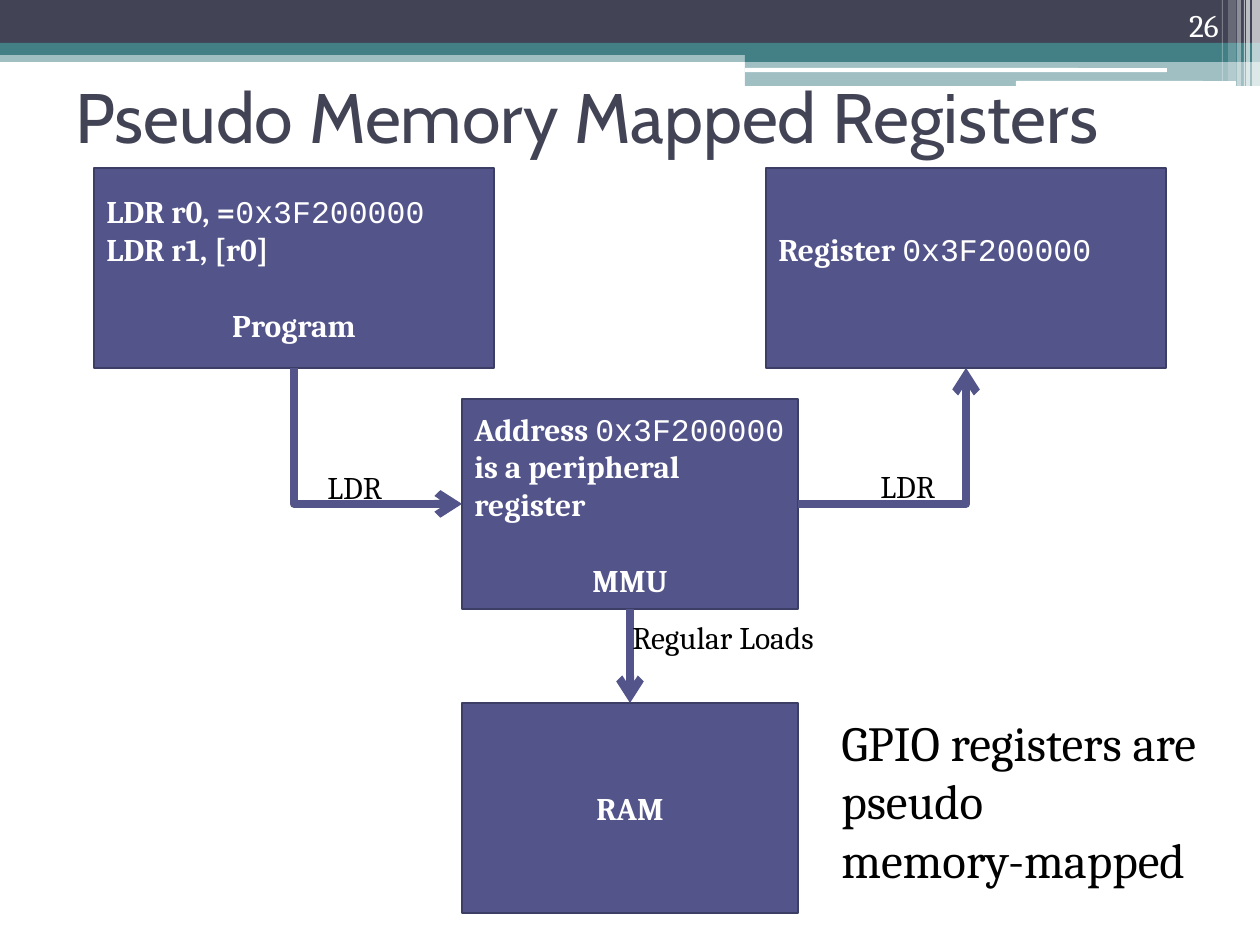
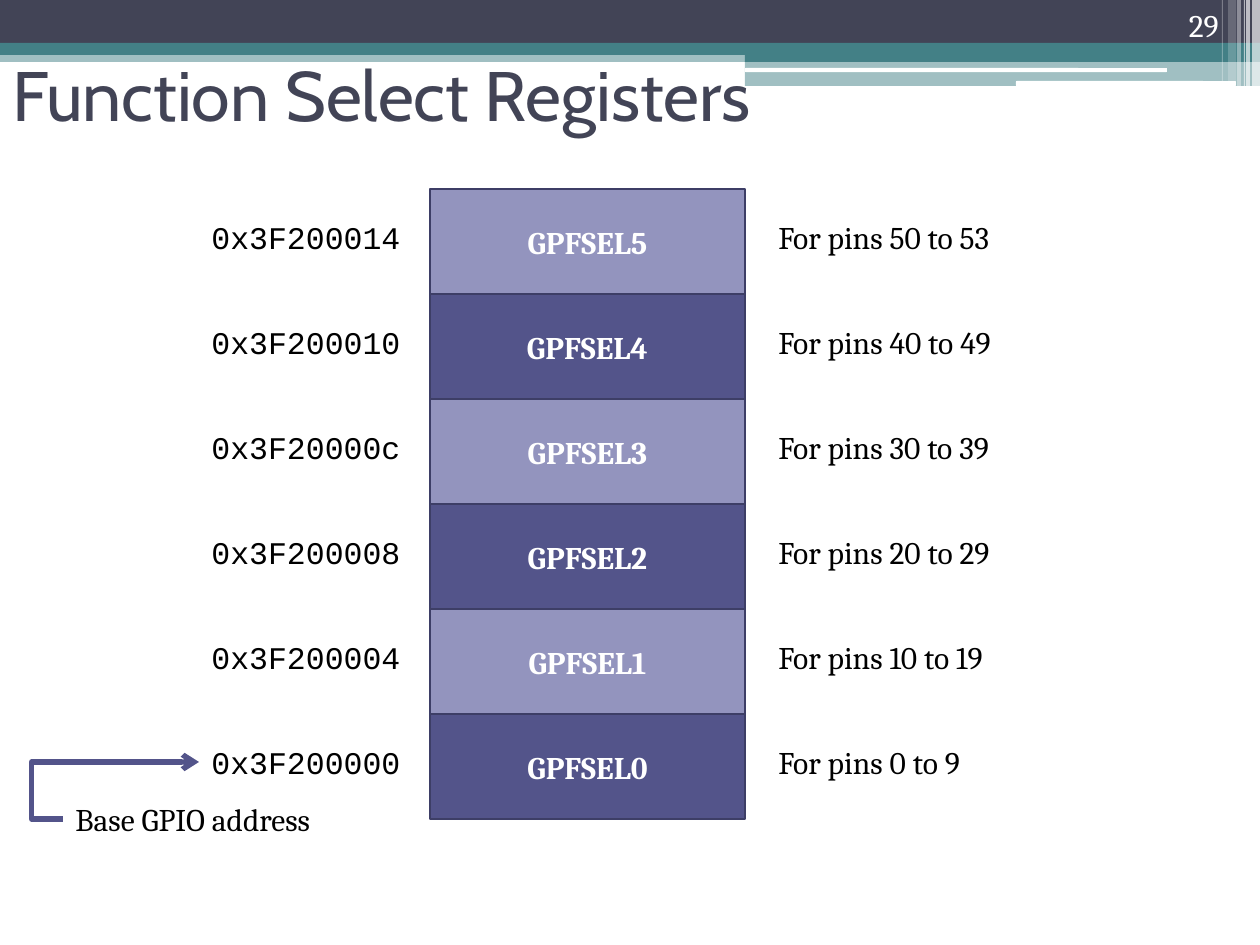
from lxml import etree
from pptx import Presentation
from pptx import util as u
from pptx.dml.color import RGBColor
from pptx.enum import shapes, text
from pptx.oxml.ns import qn

PX = u.Inches(1) / 126
COLORS = {
    "ink": "424456", "teal": "438086", "white": "FFFFFF", "black": "000000",
    "indigo": "53548A", "lavender": "9394BE", "outline": "3D3E66",
}
BODY, CODE, HEADING = "Cambria", "Courier New", "Cabin"
RECT = shapes.MSO_SHAPE.RECTANGLE
ROUNDED = shapes.MSO_SHAPE.ROUNDED_RECTANGLE
LEFT, CENTER, RIGHT = text.PP_ALIGN.LEFT, text.PP_ALIGN.CENTER, text.PP_ALIGN.RIGHT
MIDDLE, BOTTOM = text.MSO_ANCHOR.MIDDLE, text.MSO_ANCHOR.BOTTOM
LINE_GAP = 21.6
BANDS = [
    (RECT, 0, 50, 1260, 12, "teal", 50),
    (RECT, 0, 0, 1260, 43, "ink", 100),
    (RECT, 0, 43, 1260, 12, "teal", 100),
    (RECT, 745, 49, 515, 13, "teal", 100),
    (RECT, 745, 61, 515, 25, "teal", 50),
    (ROUNDED, 745, 68, 422, 4, "white", 100),
    (ROUNDED, 1016, 81, 220, 5, "white", 100),
    (RECT, 1252, 0, 8, 86, "white", 65),
    (RECT, 1246, 0, 4, 86, "white", 65),
    (RECT, 1244, 0, 1, 86, "white", 60),
    (RECT, 1237, 0, 4, 86, "white", 40),
    (RECT, 1228, 0, 8, 81, "white", 20),
    (RECT, 1222, 0, 1, 81, "white", 30),
]


def emu(*lengths):
    return [u.Emu(round(length * PX)) for length in lengths]


def color(name):
    return RGBColor.from_string(COLORS[name])


class Deck:
    def __init__(self):
        self.presentation = Presentation()
        self.presentation.slide_width, self.presentation.slide_height = emu(1260, 945)
        self.slide = None

    def new_slide(self, title, number, left, top):
        self.slide = self.presentation.slides.add_slide(self.presentation.slide_layouts[6])
        for band in BANDS:
            self.band(*band)
        self.text_box(title, left, top, 1134, 147, 40, "ink", HEADING, anchor=MIDDLE)
        self.text_box(number, 1126, 0, 105, 50, 18, "white", align=RIGHT, anchor=BOTTOM)

    def band(self, kind, left, top, width, height, fill, opacity):
        shape = self.slide.shapes.add_shape(kind, *emu(left, top, width, height))
        shape.shadow.inherit = False
        shape.fill.solid()
        shape.fill.fore_color.rgb = color(fill)
        shape.line.fill.background()
        if opacity < 100:
            rgb = shape.fill._xPr.find(".//" + qn("a:srgbClr"))
            etree.SubElement(rgb, qn("a:alpha")).set("val", str(opacity * 1000))
        return shape

    def font(self, run, size, fill, name, bold=False):
        run.font.name = name
        run.font.size = u.Pt(size)
        run.font.bold = bold
        run.font.color.rgb = color(fill)

    def text_box(self, content, left, top, width, height, size, fill, name=BODY,
                 align=LEFT, anchor=text.MSO_ANCHOR.TOP, wrap=True):
        shape = self.slide.shapes.add_textbox(*emu(left, top, width, height))
        frame = shape.text_frame
        frame.word_wrap = wrap
        frame.vertical_anchor = anchor
        if not wrap:
            frame.auto_size = text.MSO_AUTO_SIZE.SHAPE_TO_FIT_TEXT
        frame.text = content
        for paragraph in frame.paragraphs:
            paragraph.alignment = align
            for run in paragraph.runs:
                self.font(run, size, fill, name)

    def label(self, content, left, top, width, height=50, size=18, name=BODY):
        self.text_box(content, left, top, width, height, size, "black", name, wrap=False)

    def box(self, left, top, width, height, lines=(), caption=None, fill="indigo"):
        shape = self.band(RECT, left, top, width, height, fill, 100)
        shape.line.color.rgb = color("outline")
        shape.line.width = u.Pt(1.5)
        frame = shape.text_frame
        frame.word_wrap = True
        frame.vertical_anchor = MIDDLE
        rows = [(LEFT, runs) for runs in lines]
        if caption:
            rows.append((CENTER, [caption]))
        for index, (align, runs) in enumerate(rows):
            paragraph = frame.add_paragraph() if index else frame.paragraphs[0]
            paragraph.alignment = align
            if index and align == CENTER:
                paragraph.space_before = u.Pt(LINE_GAP)
            for content in runs:
                run = paragraph.add_run()
                run.text = content
                is_code = content.startswith("0x")
                self.font(run, 18, "white", CODE if is_code else BODY, not is_code)
        return shape

    def arrow(self, begin, end, weight, kind=shapes.MSO_CONNECTOR.STRAIGHT, arrowhead="tailEnd"):
        connector = self.slide.shapes.add_connector(kind, *emu(*begin, *end))
        connector.line.color.rgb = color("indigo")
        connector.line.width = u.Pt(weight)
        properties = connector._element.spPr
        etree.SubElement(properties.find(qn("a:ln")), qn("a:" + arrowhead)).set("type", "arrow")
        etree.SubElement(properties, qn("a:effectLst"))
        return connector

    def elbow(self, begin, end, weight, arrowhead="tailEnd", bend=None):
        connector = self.arrow(begin, end, weight, shapes.MSO_CONNECTOR.ELBOW, arrowhead)
        geometry = connector._element.spPr.find(qn("a:prstGeom"))
        if bend is None:
            geometry.set("prst", "bentConnector2")
        else:
            guide = etree.SubElement(geometry.find(qn("a:avLst")), qn("a:gd"))
            guide.set("name", "adj1")
            guide.set("fmla", f"val {bend}")


def memory_mapped_slide(deck):
    deck.new_slide("Pseudo Memory Mapped Registers", "26", 63, 42)
    address = "0x3F200000"
    deck.box(94, 168, 400, 200, [["LDR r0, =", address], ["LDR r1, [r0]"]], "Program")
    mmu = deck.box(462, 399, 336, 210,
                   [["Address ", address + " ", "is a peripheral register"]], "MMU")
    register = deck.box(766, 168, 400, 200, [["Register ", address]])
    register.text_frame.margin_bottom = u.Pt(LINE_GAP + 3.6)
    ram = deck.box(462, 703, 336, 210, caption="RAM")

    deck.elbow((462, 504), (294, 368), 4.5, arrowhead="headEnd")
    deck.elbow((798, 504), (966, 368), 4.5)
    load = deck.arrow((630, 609), (630, 703), 4.5)
    load.begin_connect(mmu, 2)
    load.end_connect(ram, 0)

    deck.label("LDR", 315, 462, 91)
    deck.label("LDR", 868, 461, 91)
    deck.label("Regular Loads", 620, 612, 228)
    deck.label("GPIO registers are\npseudo\nmemory-mapped", 829, 706, 428, 190, 28)


def function_select_slide(deck):
    deck.new_slide("Function Select Registers", "29", 0, 20)
    offsets = ["00", "04", "08", "0c", "10", "14"]
    for index, offset in enumerate(offsets):
        top = 714 - 105 * index
        last_pin = min(10 * index + 9, 53)
        deck.box(430, top, 315, 105, caption=f"GPFSEL{index}",
                 fill="lavender" if index % 2 else "indigo")
        deck.label(f"0x3F2000{offset}", 199, top + 23, 215, name=CODE)
        deck.label(f"For pins {10 * index} to {last_pin}", 766, top + 23, 265 if index else 231)
    deck.label("Base GPIO address", 63, 794, 294)
    deck.elbow((63, 819), (199, 762), 3, bend=-23100)


def main():
    deck = Deck()
    memory_mapped_slide(deck)
    function_select_slide(deck)
    deck.presentation.save("out.pptx")


if __name__ == "__main__":
    main()
